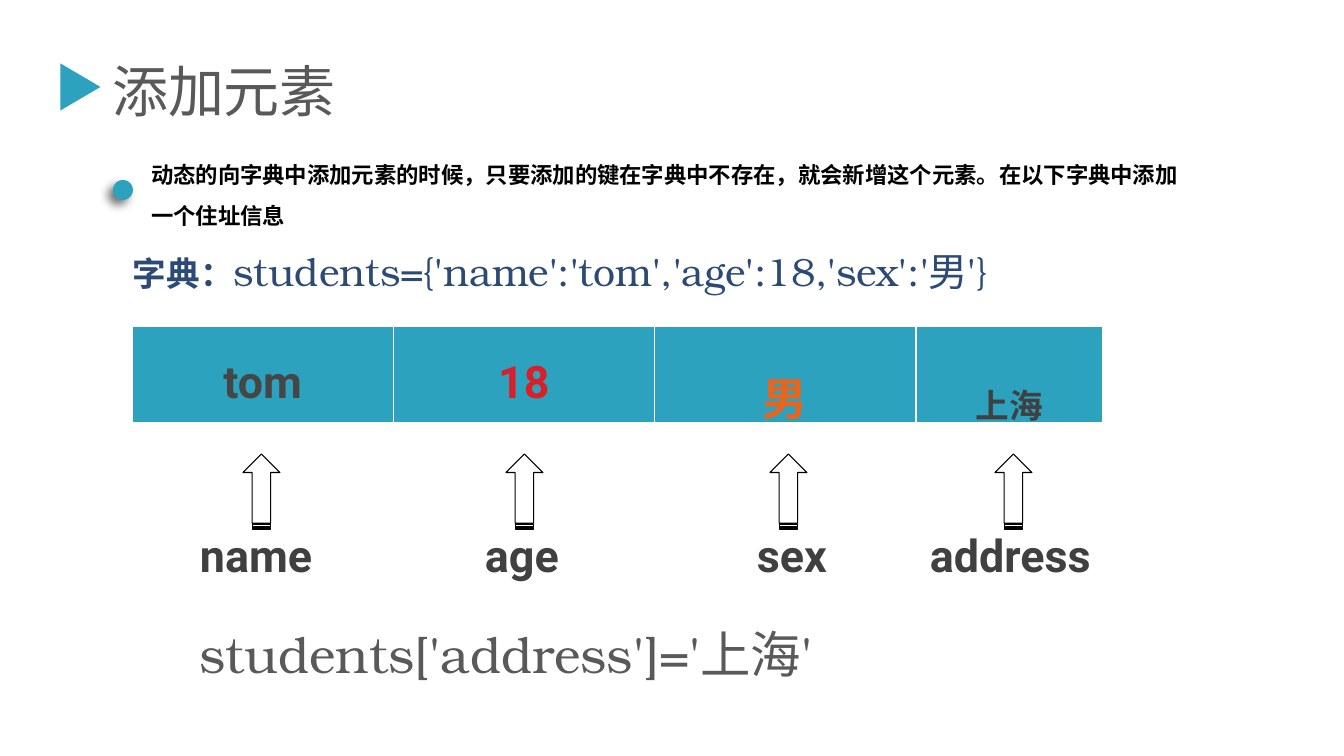
import pptx
import pptx.dml.color
import pptx.enum.shapes
import pptx.enum.text
import pptx.oxml
import pptx.oxml.ns
import pptx.util
from lxml import etree

EMU_PER_PX = 914400 / 100.8
CJK_FONT = "Noto Sans CJK SC"
CODE_FONT = "TeX Gyre Bonum"
LABEL_FONT = "Roboto"
TEAL = "2DA2BF"
GRAY = "595959"
DARK = "404040"
NAVY = "2B4A76"
SHAPES = pptx.enum.shapes.MSO_SHAPE
ALIGN = pptx.enum.text.PP_ALIGN


def px(length):
    return pptx.util.Emu(round(length * EMU_PER_PX))


def color(hex_string):
    return pptx.dml.color.RGBColor.from_string(hex_string)


def shadow_effect(alpha, blur, distance, direction):
    """Return an effect list with one black outer shadow (percent, points, degrees)."""
    return pptx.oxml.parse_xml(
        f'<a:effectLst {pptx.oxml.ns.nsdecls("a")}>'
        f'<a:outerShdw blurRad="{blur * 12700}" dist="{distance * 12700}" '
        f'dir="{direction * 60000}" algn="tl" rotWithShape="0">'
        f'<a:srgbClr val="000000"><a:alpha val="{alpha * 1000}"/></a:srgbClr>'
        '</a:outerShdw></a:effectLst>')


def place(shape, box):
    shape.left, shape.top, shape.width, shape.height = map(px, box)


def write(frame, text, size, font, fill, bold=False, align=ALIGN.LEFT,
          line_spacing=1.0, space_before=0, shadow=None):
    """Append a formatted run to the first paragraph of a text frame."""
    frame.word_wrap = True
    paragraph = frame.paragraphs[0]
    paragraph.alignment = align
    paragraph.line_spacing = line_spacing
    paragraph.space_before = pptx.util.Pt(space_before)
    run = paragraph.add_run()
    run.text = text
    run.font.size = pptx.util.Pt(size)
    run.font.bold = bold
    run.font.color.rgb = color(fill)
    run.font.name = font
    properties = run.font._element
    etree.SubElement(properties, pptx.oxml.ns.qn("a:ea"), typeface=CJK_FONT)
    if shadow:
        properties.find(pptx.oxml.ns.qn("a:solidFill")).addnext(shadow_effect(*shadow))
    return paragraph


def add_text(slide, box, text, **text_format):
    frame = slide.shapes.add_textbox(*map(px, box)).text_frame
    write(frame, text, **text_format)
    return frame


def add_shape(slide, kind, box, fill=None, line=None, rotation=0):
    shape = slide.shapes.add_shape(kind, *map(px, box))
    shape.rotation = rotation
    shape.shadow.inherit = False
    if fill:
        shape.fill.solid()
        shape.fill.fore_color.rgb = color(fill)
    else:
        shape.fill.background()
    if line:
        shape.line.color.rgb = color(line)
        shape.line.width = pptx.util.Pt(0.75)
    else:
        shape.line.fill.background()
    return shape


def fill_placeholder(placeholder, box, text, **text_format):
    place(placeholder, box)
    frame = placeholder.text_frame
    frame.auto_size = pptx.enum.text.MSO_AUTO_SIZE.NONE
    frame.vertical_anchor = pptx.enum.text.MSO_ANCHOR.TOP
    return write(frame, text, **text_format)


def add_heading(slide, box):
    left, top, width, height = box
    fill_placeholder(slide.shapes.title, (left + 45, top, width - 45, height),
                     "添加元素", size=40, font=CJK_FONT, fill=GRAY)
    add_shape(slide, SHAPES.ISOSCELES_TRIANGLE, (left, top + 16, 47, 40),
              fill=TEAL, rotation=90)


def add_explanation(slide, box):
    left, top, width, height = box
    dot = add_shape(slide, SHAPES.OVAL, (left, top + 37, 20, 20), fill=TEAL)
    properties = dot._element.spPr
    properties.remove(properties.find(pptx.oxml.ns.qn("a:effectLst")))
    properties.append(shadow_effect(57, 7, 5, 135))
    paragraph = fill_placeholder(
        slide.placeholders[1], (left + 28, top, width - 28, height),
        "动态的向字典中添加元素的时候，只要添加的键在字典中不存在，"
        "就会新增这个元素。在以下字典中添加一个住址信息",
        size=16, font=CJK_FONT, fill="000000", bold=True,
        line_spacing=1.5, space_before=12)
    properties = paragraph._p.get_or_add_pPr()
    properties.set("marL", "0")
    properties.set("indent", "0")
    etree.SubElement(properties, pptx.oxml.ns.qn("a:buNone"))


def set_borders(cell):
    properties = cell._tc.get_or_add_tcPr()
    for index, (side, width) in enumerate((("L", 1), ("R", 1), ("T", 1), ("B", 3))):
        properties.insert(index, pptx.oxml.parse_xml(
            f'<a:ln{side} {pptx.oxml.ns.nsdecls("a")} w="{width * 12700}"><a:solidFill>'
            f'<a:srgbClr val="FFFFFF"/></a:solidFill></a:ln{side}>'))


def add_value_table(slide, box, values, size, line_spacing):
    """Add a one-row table of (text, colour) values in equal columns."""
    table = slide.shapes.add_table(1, len(values), *map(px, box)).table
    table.first_row = table.horz_banding = False
    for cell, (text, fill) in zip(table.iter_cells(), values):
        cell.fill.solid()
        cell.fill.fore_color.rgb = color(TEAL)
        set_borders(cell)
        write(cell.text_frame, text, size=size, font=LABEL_FONT, fill=fill, bold=True,
              align=ALIGN.CENTER, line_spacing=line_spacing)


def add_key(slide, box, name, arrow_left):
    """Add a key name with an arrow above it pointing at its value."""
    add_shape(slide, SHAPES.STRIPED_RIGHT_ARROW, (arrow_left, box[1] - 50, 75, 37),
              line="000000", rotation=270)
    add_text(slide, box, name, size=32, font=LABEL_FONT, fill=DARK, bold=True,
             shadow=(43, 3, 3, 45))


def add_dictionary(slide, box):
    left, top, width, height = box
    soft_shadow = (20, 3, 2, 45)
    frame = add_text(slide, (left - 9, top, width, 57), "字典：", size=24, font="Arial",
                     fill=NAVY, bold=True, shadow=soft_shadow)
    write(frame, "students={'name':'tom','age':18,'sex':'男'}", size=28,
          font=CODE_FONT, fill=NAVY, shadow=soft_shadow)
    add_value_table(slide, (left, top + 84, 784, 98),
                    [("tom", "464646"), ("18", "DA1F28"), ("男", "EB641B")], 32, 1.5)
    add_value_table(slide, (left + 784, top + 84, 187, 98), [("上海", DARK)], 24, 2.0)
    for name, label_left, label_width, arrow_left in (
            ("name", 58, 179, 92), ("age", 343, 109, 355),
            ("sex", 615, 98, 619), ("address", 788, 271, 844)):
        add_key(slide, (left + label_left, top + 281, label_width, 65),
                name, left + arrow_left)
    add_text(slide, (left + 58, top + height - 71, 671, 71), "students['address']='上海'",
             size=36, font=CODE_FONT, fill=GRAY, shadow=soft_shadow)


def main():
    presentation = pptx.Presentation()
    presentation.slide_width = px(1344)
    presentation.slide_height = px(756)
    slide = presentation.slides.add_slide(presentation.slide_layouts[1])
    add_heading(slide, (57, 51, 475, 109))
    add_explanation(slide, (113, 143, 1079, 87))
    add_dictionary(slide, (132, 242, 1092, 447))
    presentation.save("out.pptx")


if __name__ == "__main__":
    main()
